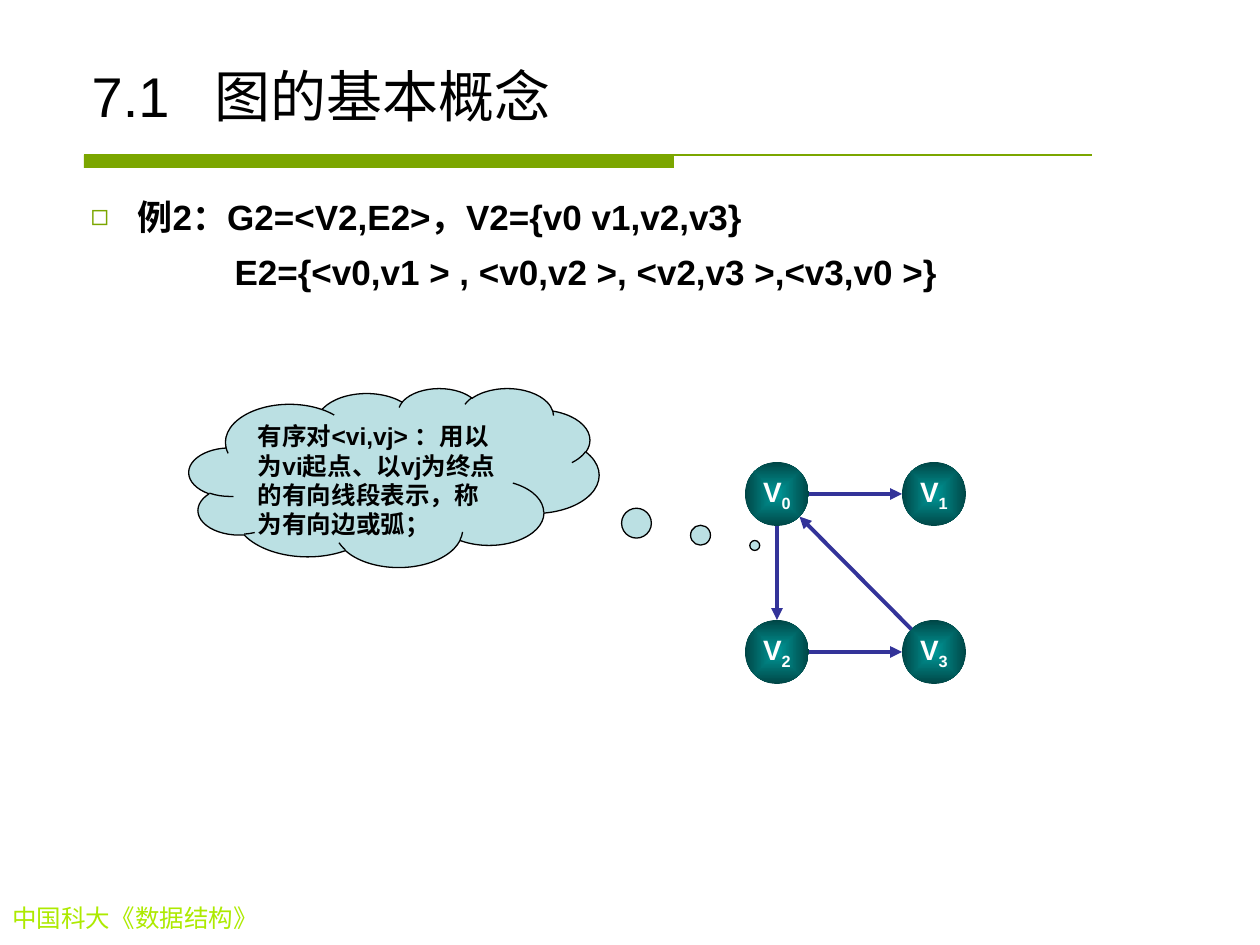
from math import hypot

from lxml import etree
from pptx import Presentation
from pptx.dml.color import RGBColor
from pptx.enum.shapes import MSO_CONNECTOR, MSO_SHAPE
from pptx.enum.text import MSO_ANCHOR, MSO_AUTO_SIZE, PP_ALIGN
from pptx.oxml.ns import qn
from pptx.util import Pt

EMU_PER_PX = 914400 / 126
STRAIGHT = MSO_CONNECTOR.STRAIGHT
ELLIPSE, CLOUD, RECTANGLE = MSO_SHAPE.OVAL, MSO_SHAPE.CLOUD_CALLOUT, MSO_SHAPE.RECTANGLE
LEFT, CENTER = PP_ALIGN.LEFT, PP_ALIGN.CENTER
TOP, MIDDLE, BOTTOM = MSO_ANCHOR.TOP, MSO_ANCHOR.MIDDLE, MSO_ANCHOR.BOTTOM

BLACK = RGBColor(0x00, 0x00, 0x00)
WHITE = RGBColor(0xFF, 0xFF, 0xFF)
GREEN = RGBColor(0x7B, 0xA6, 0x00)
LIME = RGBColor(0xAD, 0xEA, 0x00)
PALE_BLUE = RGBColor(0xBB, 0xE0, 0xE3)
TEAL = RGBColor(0x00, 0x99, 0x99)
DARK_TEAL = RGBColor(0x00, 0x46, 0x46)
INDIGO = RGBColor(0x33, 0x33, 0x99)


def px(length):
    return round(length * EMU_PER_PX)


def place(shape, box):
    shape.left, shape.top, shape.width, shape.height = map(px, box)


def add_element(parent, tag, **attributes):
    element = etree.SubElement(parent, qn(tag))
    for name, value in attributes.items():
        element.set(name, str(value))
    return element


def set_frame(shape, anchor=TOP, wrap=True):
    frame = shape.text_frame
    frame.auto_size = MSO_AUTO_SIZE.NONE
    frame.word_wrap = wrap
    frame.vertical_anchor = anchor
    return frame


def write(para, text, size, color=BLACK, font="Arial", bold=False, align=LEFT, baseline=None):
    para.alignment = align
    span = para.add_run()
    span.text = text
    span.font.name, span.font.size, span.font.bold = font, Pt(size), bold
    span.font.color.rgb = color
    if baseline is not None:
        span.font._element.set("baseline", str(baseline))


def add_shape(page, kind, box):
    shape = page.shapes.add_shape(kind, *map(px, box))
    shape.shadow.inherit = False
    return shape


def add_line(page, start, end, color, width, arrow=False):
    line = page.shapes.add_connector(STRAIGHT, *map(px, (*start, *end)))
    line.line.color.rgb = color
    line.line.width = Pt(width)
    if arrow:
        add_element(line.line._get_or_add_ln(), "a:tailEnd", type="triangle")
    add_element(line._element.spPr, "a:effectLst")


def add_title(page, box):
    title = page.shapes.title
    place(title, box)
    para = set_frame(title, BOTTOM).paragraphs[0]
    tabs = add_element(para._p.get_or_add_pPr(), "a:tabLst")
    add_element(tabs, "a:tab", pos=px(123), algn="l")
    write(para, "7.1\t图的基本概念", 32)


def add_header_rule(page, box):
    left, top, width, height = box
    bar = add_shape(page, RECTANGLE, (left, top, 590, height))
    bar.fill.solid()
    bar.fill.fore_color.rgb = GREEN
    bar.line.fill.background()
    add_line(page, (left, top), (left + width, top), GREEN, 0.75)


def add_example(page, box):
    body = page.placeholders[1]
    place(body, box)
    frame = set_frame(body)
    lines = (
        ("例2：G2=<V2,E2>，V2={v0 v1,v2,v3}", 47, -47, 0),
        ("E2={<v0,v1 > , <v0,v2 >, <v2,v3 >,<v3,v0 >}", 144, 0, 5),
    )
    for number, (text, margin, indent, space) in enumerate(lines):
        para = frame.add_paragraph() if number else frame.paragraphs[0]
        para.line_spacing = 1.1
        para.space_before = Pt(space)
        properties = para._p.get_or_add_pPr()
        properties.set("marL", str(px(margin)))
        properties.set("indent", str(px(indent)))
        if number:
            add_element(properties, "a:buNone")
        else:
            bullet_color = add_element(properties, "a:buClr")
            add_element(bullet_color, "a:srgbClr", val=GREEN)
            add_element(properties, "a:buSzPct", val=85000)
            add_element(properties, "a:buChar", char="◻")
        write(para, text, 20, bold=True)


def add_thought(page, box):
    cloud = add_shape(page, CLOUD, box)
    cloud.adjustments[0], cloud.adjustments[1] = 0.88, 0.38
    cloud.fill.solid()
    cloud.fill.fore_color.rgb = PALE_BLUE
    cloud.line.color.rgb = BLACK
    cloud.line.width = Pt(0.75)
    text = "有序对<vi,vj> ：用以为vi起点、以vj为终点的有向线段表示，称为有向边或弧；"
    write(set_frame(cloud).paragraphs[0], text, 14, bold=True)


def add_node(page, box, index):
    node = add_shape(page, ELLIPSE, box)
    node.line.fill.background()
    node.fill.gradient()
    for stop, color in zip(node.fill.gradient_stops, (TEAL, DARK_TEAL)):
        stop.color.rgb = color
    gradient = node._element.spPr.find(qn("a:gradFill"))
    gradient.remove(gradient.find(qn("a:lin")))
    focus = add_element(gradient, "a:path", path="rect")
    add_element(focus, "a:fillToRect", l=50000, t=50000, r=50000, b=50000)
    para = set_frame(node, MIDDLE, wrap=False).paragraphs[0]
    label = {"size": 16, "color": WHITE, "bold": True, "align": CENTER}
    write(para, "V", **label)
    write(para, str(index), baseline=-25000, **label)


def add_graph(page, box):
    """Draw four nodes in the corners of the box and the directed edges between them."""
    left, top, width, height = box
    size = 64
    radius = size / 2
    centers = []
    for index in range(4):
        row, column = divmod(index, 2)
        x, y = left + column * (width - size), top + row * (height - size)
        add_node(page, (x, y, size, size), index)
        centers.append((x + radius, y + radius))
    for tail, head in ((0, 1), (0, 2), (2, 3), (3, 0)):
        (x1, y1), (x2, y2) = centers[tail], centers[head]
        distance = hypot(x2 - x1, y2 - y1)
        dx, dy = (x2 - x1) * radius / distance, (y2 - y1) * radius / distance
        add_line(page, (x1 + dx, y1 + dy), (x2 - dx, y2 - dy), INDIGO, 2.25, arrow=True)


def add_footer(page, box):
    footer = page.shapes.add_textbox(*map(px, box))
    write(set_frame(footer).paragraphs[0], "中国科大《数据结构》", 14, LIME, "Times New Roman")


def main():
    deck = Presentation()
    deck.slide_width, deck.slide_height = px(1260), px(945)
    page = deck.slides.add_slide(deck.slide_layouts[1])
    add_header_rule(page, (84, 155, 1008, 13))
    add_footer(page, (0, 897, 392, 43))
    add_title(page, (79, 42, 1103, 93))
    add_example(page, (78, 185, 1103, 684))
    add_thought(page, (189, 388, 410, 179))
    add_graph(page, (745, 462, 221, 222))
    deck.save("out.pptx")


if __name__ == "__main__":
    main()
